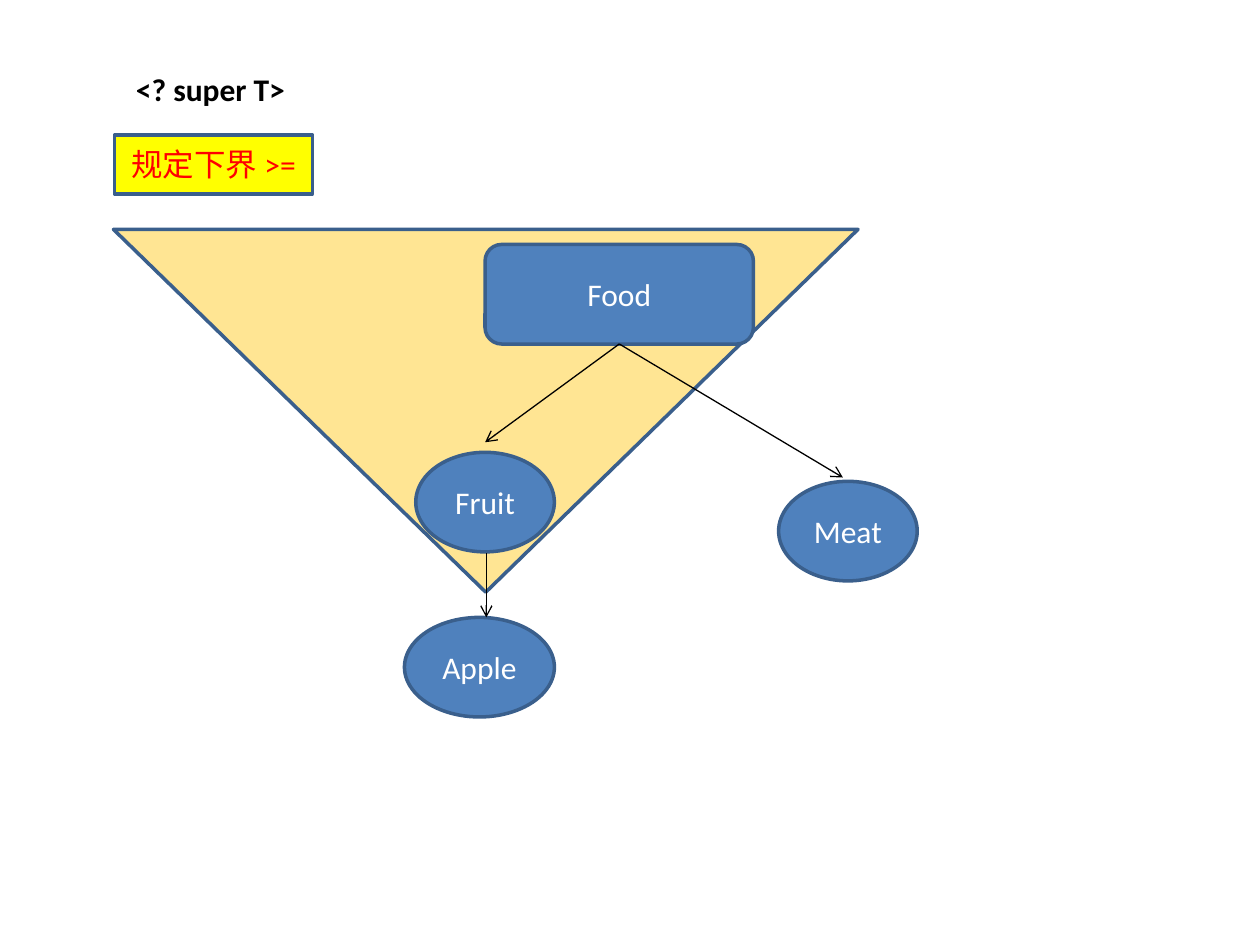
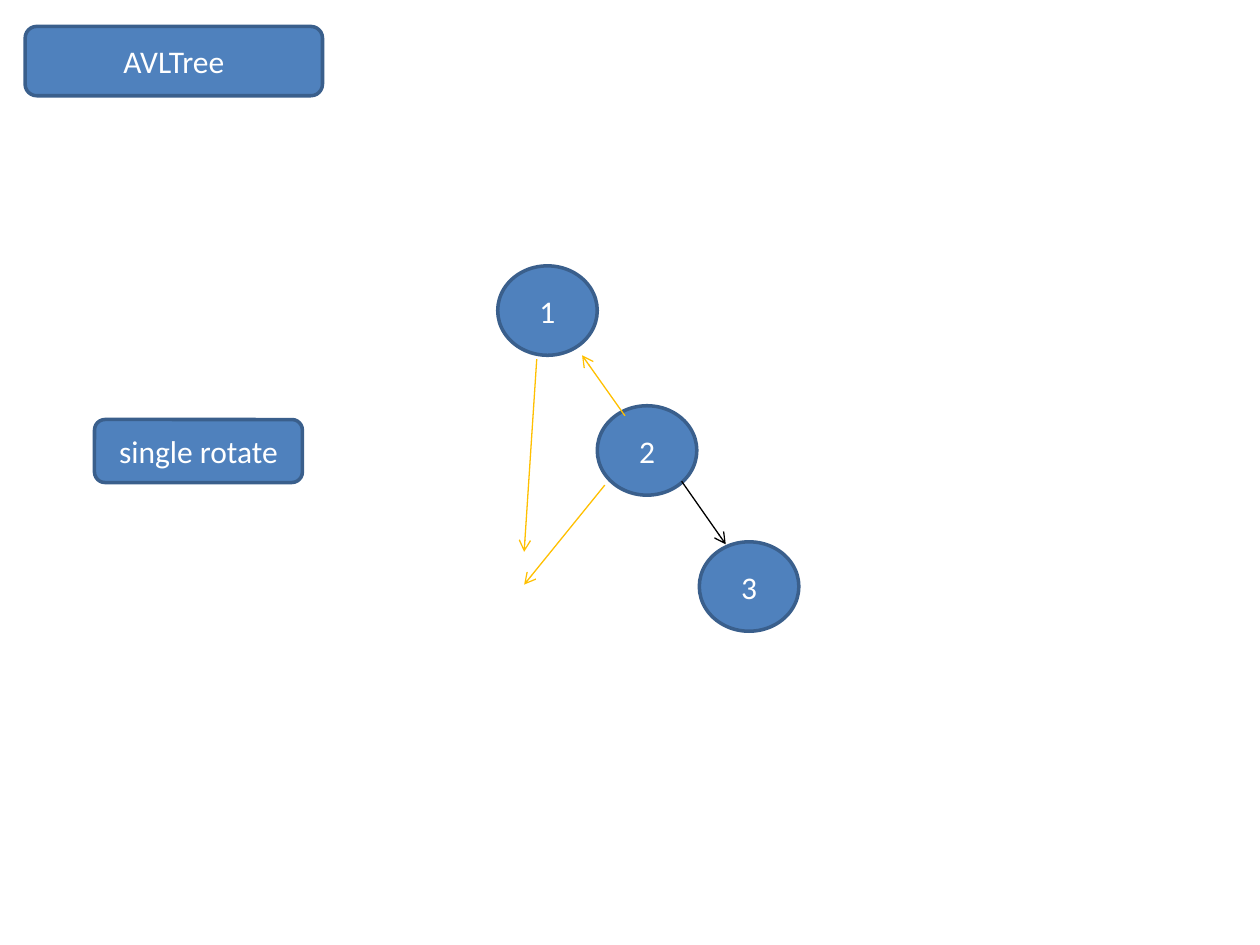
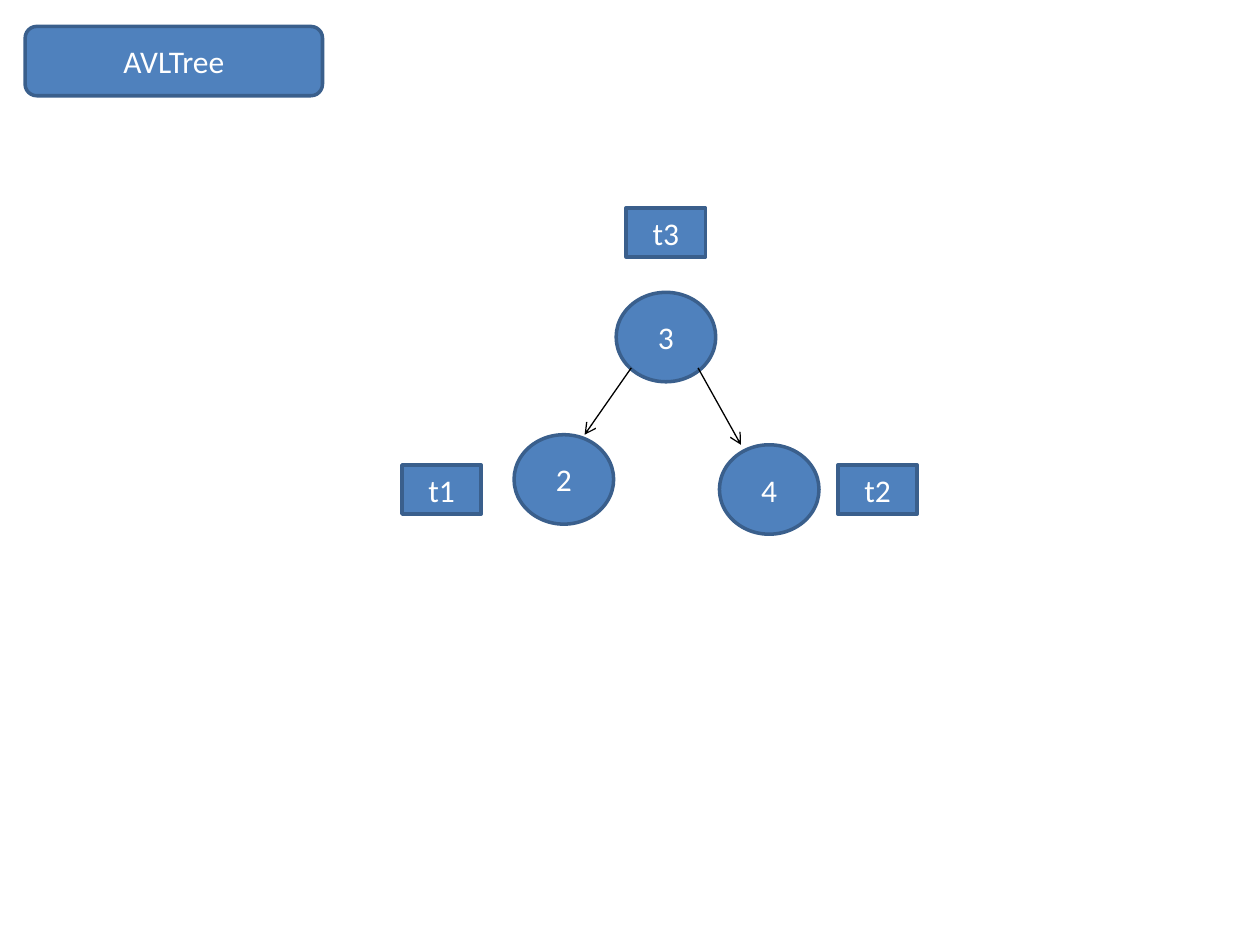
from lxml import etree
from pptx import Presentation
from pptx import util as u
from pptx.dml.color import RGBColor
from pptx.enum import shapes, text
from pptx.oxml.ns import qn

COLORS = {
    "blue": "4F81BD",
    "outline": "3A5F8C",
    "sand": "FFE593",
    "yellow": "FFFF00",
    "red": "FF0000",
    "amber": "FFC000",
    "white": "FFFFFF",
    "black": "000000",
}
COLUMNS, ROWS = 10, 7.5
KINDS = shapes.MSO_SHAPE
NODE_SIZE = (0.79, 0.71)
LABEL_SIZE = (0.63, 0.39)


def color(name):
    return RGBColor.from_string(COLORS[name])


def write(shape, content, ink="white", bold=False, align=text.PP_ALIGN.CENTER,
          anchor=text.MSO_ANCHOR.MIDDLE, wrap=True):
    frame = shape.text_frame
    frame.word_wrap = wrap
    frame.vertical_anchor = anchor
    paragraph = frame.paragraphs[0]
    paragraph.alignment = align
    run = paragraph.add_run()
    run.text = content
    run.font.name = "Calibri"
    run.font.size = u.Pt(18)
    run.font.bold = bold
    run.font.color.rgb = color(ink)


class Deck:
    def __init__(self):
        self.presentation = Presentation()
        self.presentation.slide_width = u.Inches(10)
        self.presentation.slide_height = u.Inches(7.5)
        self.slide = None

    def add_slide(self):
        self.slide = self.presentation.slides.add_slide(self.presentation.slide_layouts[6])

    def x(self, columns):
        return round(self.presentation.slide_width * columns / COLUMNS)

    def y(self, rows):
        return round(self.presentation.slide_height * rows / ROWS)

    def box(self, position, size):
        return self.x(position[0]), self.y(position[1]), self.x(size[0]), self.y(size[1])

    def shape(self, kind, position, size, content="", fill="blue", **style):
        shape = self.slide.shapes.add_shape(kind, *self.box(position, size))
        shape.shadow.inherit = False
        shape.fill.solid()
        shape.fill.fore_color.rgb = color(fill)
        shape.line.color.rgb = color("outline")
        shape.line.width = u.Pt(2)
        if content:
            write(shape, content, **style)
        return shape

    def node(self, content, position, size=NODE_SIZE):
        return self.shape(KINDS.OVAL, position, size, content)

    def label(self, content, position):
        return self.shape(KINDS.RECTANGLE, position, LABEL_SIZE, content)

    def heading(self, content):
        return self.shape(KINDS.ROUNDED_RECTANGLE, (0.2, 0.21), (2.36, 0.55), content)

    def textbox(self, content, position, size, **style):
        textbox = self.slide.shapes.add_textbox(*self.box(position, size))
        write(textbox, content, **style)

    def arrow(self, start, end, ink="black", source=None):
        connector = self.slide.shapes.add_connector(
            shapes.MSO_CONNECTOR.STRAIGHT,
            self.x(start[0]), self.y(start[1]), self.x(end[0]), self.y(end[1]))
        if source is not None:
            connector.begin_connect(source, 2)
        connector.line.color.rgb = color(ink)
        connector.line.width = u.Pt(0.75)
        etree.SubElement(connector.line._get_or_add_ln(), qn("a:tailEnd"), type="arrow")
        etree.SubElement(connector._element.spPr, qn("a:effectLst"))


def build_super_bound(deck):
    deck.add_slide()
    triangle = deck.shape(KINDS.ISOSCELES_TRIANGLE, (0.9, 1.82), (5.91, 2.88), fill="sand")
    triangle.rotation = 180
    food = deck.shape(KINDS.ROUNDED_RECTANGLE, (3.85, 1.94), (2.13, 0.79), "Food")
    for end in ((3.85, 3.51), (6.69, 3.79)):
        deck.arrow((4.92, 2.73), end, source=food)
    deck.node("Meat", (6.18, 3.82), (1.1, 0.79))
    deck.node("Fruit", (3.3, 3.59), (1.1, 0.79))
    deck.node("Apple", (3.21, 4.9), (1.19, 0.79))
    deck.arrow((3.86, 4.39), (3.86, 4.9))
    deck.shape(KINDS.RECTANGLE, (0.91, 1.07), (1.57, 0.47), "规定下界 >=",
               fill="yellow", ink="red", wrap=False)
    deck.textbox("<? super T>", (0.98, 0.51), (2.99, 0.4), ink="black", bold=True,
                 align=text.PP_ALIGN.LEFT, anchor=text.MSO_ANCHOR.TOP)


def build_single_rotation(deck):
    deck.add_slide()
    deck.heading("AVLTree")
    for content, position in (("1", (3.95, 2.11)), ("2", (4.74, 3.22)), ("3", (5.55, 4.3))):
        deck.node(content, position)
    deck.arrow((5.41, 3.82), (5.76, 4.32))
    rotations = (
        ((4.8, 3.85), (4.16, 4.64)),
        ((4.26, 2.85), (4.16, 4.38)),
        ((4.96, 3.3), (4.62, 2.82)),
    )
    for start, end in rotations:
        deck.arrow(start, end, "amber")
    deck.shape(KINDS.ROUNDED_RECTANGLE, (0.75, 3.33), (1.65, 0.5), "single rotate", wrap=False)


def build_balanced_tree(deck):
    deck.add_slide()
    deck.heading("AVLTree")
    for content, position in (("3", (4.89, 2.32)), ("2", (4.08, 3.45)), ("4", (5.71, 3.53))):
        deck.node(content, position)
    deck.arrow((5.01, 2.92), (4.64, 3.45))
    deck.arrow((5.54, 2.92), (5.88, 3.53))
    for content, position in (("t1", (3.19, 3.69)), ("t2", (6.65, 3.69)), ("t3", (4.97, 1.65))):
        deck.label(content, position)


def main():
    deck = Deck()
    build_super_bound(deck)
    build_single_rotation(deck)
    build_balanced_tree(deck)
    deck.presentation.save("out.pptx")


if __name__ == "__main__":
    main()
